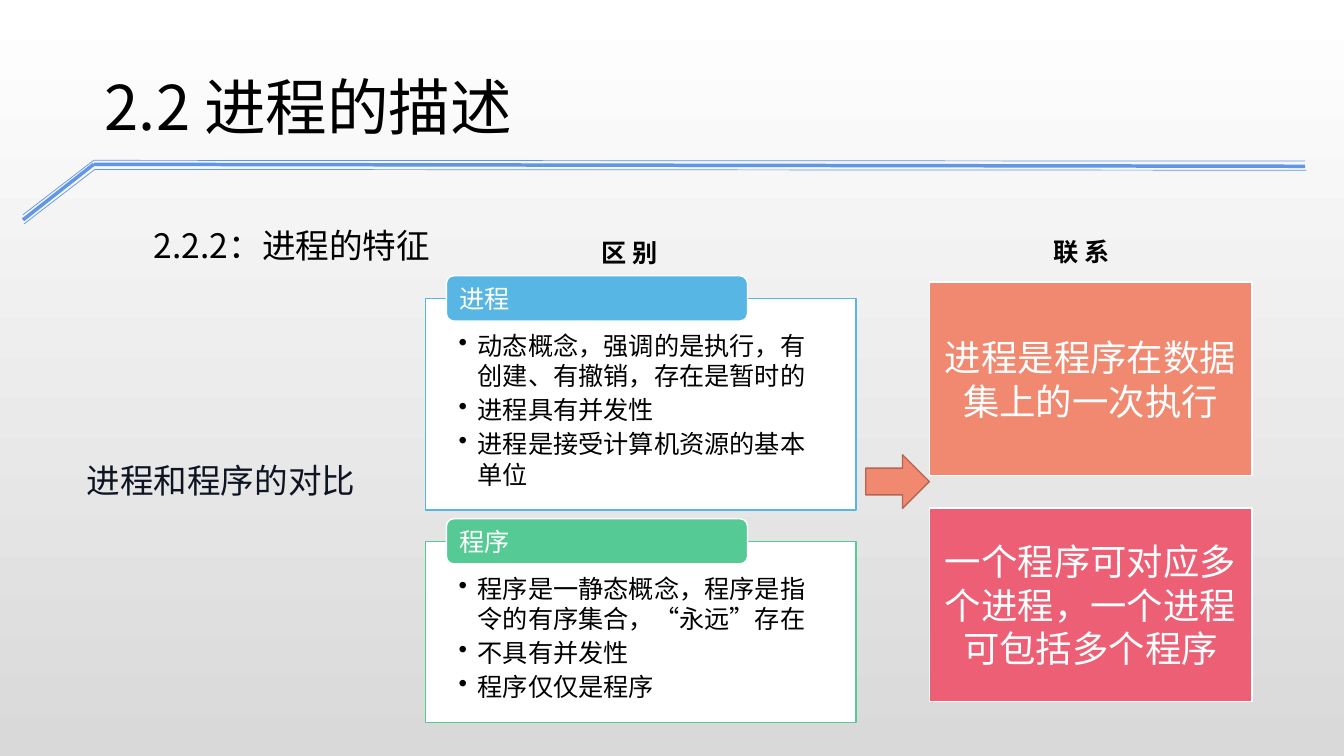
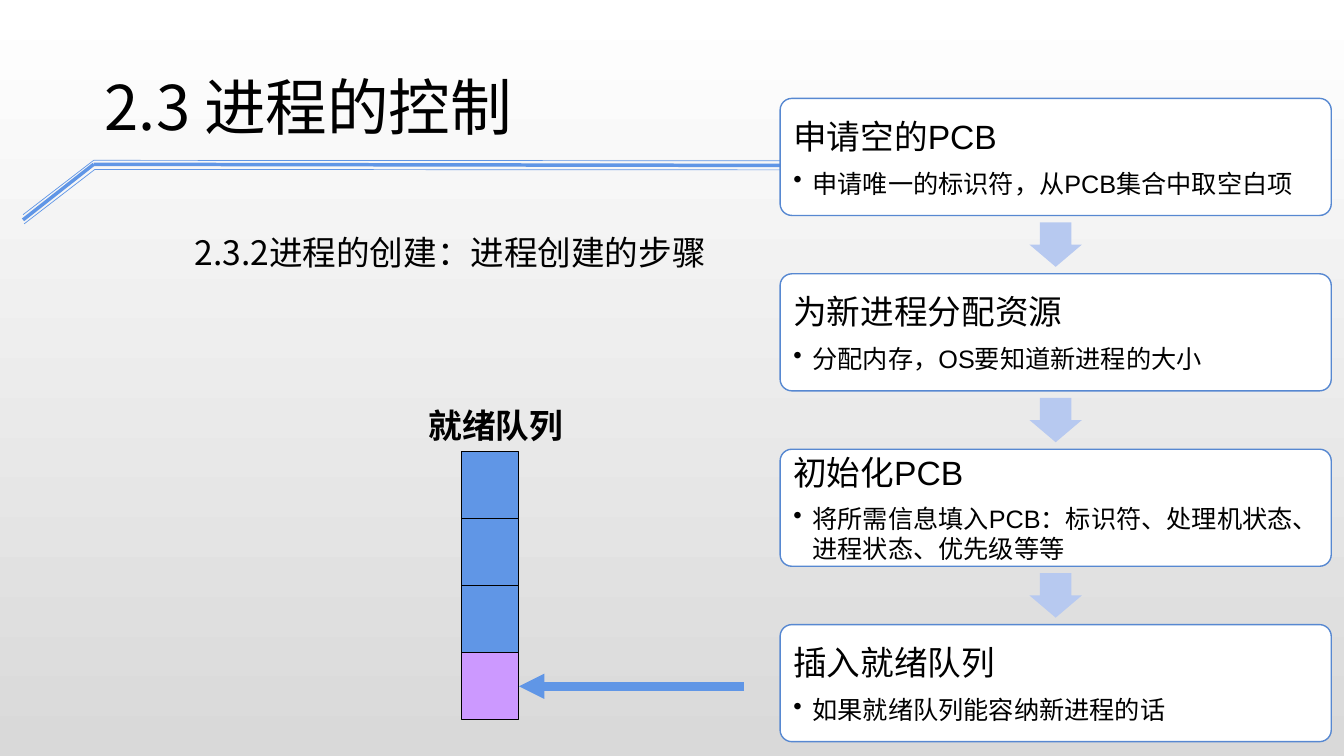
from lxml import etree
from pptx import Presentation
from pptx.dml.color import RGBColor
from pptx.enum import shapes as es, text as et
from pptx.oxml.ns import qn
from pptx.util import Cm, Pt

COLORS = {
    "white": "FFFFFF", "black": "000000", "gray": "D9D9D9", "ink": "0F1423",
    "blue": "6096E6", "sky": "58B6E5", "green": "56CA95", "orange": "F18870",
    "rust": "B26553", "pink": "EC5F74", "edge": "5788D1", "pale": "B7C9F0",
    "violet": "CC99FF",
}
HEAD_FONT, BODY_FONT = "Noto Sans CJK JP", "Arial"

BAND = [
    (0.5, [(0.58, 5.41), (2.36, 4.04), (32.89, 4.06)]),
    (2.5, [(0.58, 5.54), (2.36, 4.14), (32.89, 4.19)]),
    (0.5, [(0.61, 5.64), (2.39, 4.27), (32.92, 4.29)]),
]
DIFFERENCES = [
    ("进程", "sky", 7.52, 5.33, [
        "动态概念，强调的是执行，有创建、有撤销，存在是暂时的",
        "进程具有并发性",
        "进程是接受计算机资源的基本单位"]),
    ("程序", "green", 13.64, 4.57, [
        "程序是一静态概念，程序是指令的有序集合，“永远”存在",
        "不具有并发性",
        "程序仅仅是程序"]),
]
RELATIONS = [
    ("进程是程序在数据集上的一次执行", "orange"),
    ("一个程序可对应多个进程，一个进程可包括多个程序", "pink"),
]
HEADINGS = [("区 别", 14.91, 5.84), ("联 系", 26.29, 5.82)]
STEPS = [
    ("申请空的PCB", "申请唯一的标识符，从PCB集合中取空白项"),
    ("为新进程分配资源", "分配内存，OS要知道新进程的大小"),
    ("初始化PCB", "将所需信息填入PCB：标识符、处理机状态、进程状态、优先级等等"),
    ("插入就绪队列", "如果就绪队列能容纳新进程的话"),
]
QUEUE = ["blue", "blue", "blue", "violet"]


def rgb(name):
    return RGBColor.from_string(COLORS[name])


def para(text, size=18, color="black", bold=False, bullet=False, after=0):
    return dict(text=text, size=size, color=color, bold=bold, bullet=bullet, after=after)


def place(s, x, y, w, h):
    s.left, s.top, s.width, s.height = Cm(x), Cm(y), Cm(w), Cm(h)


def write(s, paras, font=BODY_FONT, align="LEFT", anchor="TOP",
          insets=(0.25, 0.13, 0.25, 0.13), wrap=True, spacing=None):
    tf = s.text_frame
    tf.word_wrap = wrap
    tf.auto_size = et.MSO_AUTO_SIZE.NONE
    tf.vertical_anchor = et.MSO_ANCHOR[anchor]
    tf.margin_left, tf.margin_top, tf.margin_right, tf.margin_bottom = map(Cm, insets)
    for i, item in enumerate(paras):
        p = tf.add_paragraph() if i else tf.paragraphs[0]
        p.text = item["text"]
        p.alignment = et.PP_ALIGN[align]
        p.space_before, p.space_after = Pt(0), Pt(item["after"])
        if spacing:
            p.line_spacing = spacing
        pPr = p._p.get_or_add_pPr()
        indent = Cm(0.48) if item["bullet"] else 0
        pPr.set("marL", str(indent))
        pPr.set("indent", str(-indent))
        if item["bullet"]:
            etree.SubElement(pPr, qn("a:buChar")).set("char", "•")
        else:
            etree.SubElement(pPr, qn("a:buNone"))
        for r in p.runs:
            r.font.size, r.font.bold = Pt(item["size"]), item["bold"]
            r.font.color.rgb = rgb(item["color"])
            r.font.name = font
            if font == HEAD_FONT:
                etree.SubElement(r._r.get_or_add_rPr(), qn("a:ea")).set("typeface", font)


def add_box(slide, kind, x, y, w, h, fill, line=None, width=1.0, adj=()):
    s = slide.shapes.add_shape(es.MSO_SHAPE[kind], Cm(x), Cm(y), Cm(w), Cm(h))
    s.shadow.inherit = False
    s.fill.solid()
    s.fill.fore_color.rgb = rgb(fill)
    if line:
        s.line.color.rgb = rgb(line)
        s.line.width = Pt(width)
    else:
        s.line.fill.background()
    for i, value in enumerate(adj):
        s.adjustments[i] = value
    return s


def add_label(slide, x, y, w, h, item, **style):
    s = slide.shapes.add_textbox(Cm(x), Cm(y), Cm(w), Cm(h))
    write(s, [item], **style)


def add_line(slide, start, end, width, arrow=False):
    c = slide.shapes.add_connector(es.MSO_CONNECTOR.STRAIGHT, *map(Cm, start + end))
    c.line.color.rgb = rgb("blue")
    c.line.width = Pt(width)
    if arrow:
        etree.SubElement(c.line._get_or_add_ln(), qn("a:tailEnd")).set("type", "triangle")
    etree.SubElement(c._element.spPr, qn("a:effectLst"))


def style_master(prs):
    fill = prs.slide_master.background.fill
    fill.gradient()
    fill.gradient_angle = 270
    for stop, position, color in zip(fill.gradient_stops, (0, 1), ("white", "gray")):
        stop.position = position
        stop.color.rgb = rgb(color)


def new_slide(prs, title, subtitle, x, y):
    slide = prs.slides.add_slide(prs.slide_layouts[1])
    for width, points in BAND:
        for start, end in zip(points, points[1:]):
            add_line(slide, start, end, width)
    place(slide.shapes.title, 2.39, 1.6, 24.18, 2.13)
    write(slide.shapes.title, [para(title, 44)], font=HEAD_FONT, anchor="MIDDLE")
    body = slide.placeholders[1]
    place(body, x, y, 29.08, 1.8)
    write(body, [para(subtitle, 24)], font=HEAD_FONT, spacing=1.5)
    return slide


def build_comparison(prs):
    slide = new_slide(prs, "2.2 进程的描述", "2.2.2：进程的特征", 3.63, 5.03)
    x = 10.72
    for name, color, y, h, points in DIFFERENCES:
        s = add_box(slide, "RECTANGLE", x, y, 10.85, h, "white", color)
        write(s, [para(t, bullet=True, after=2.7) for t in points],
              insets=(0.84, 0.81, 0.84, 0.36))
        s = add_box(slide, "ROUNDED_RECTANGLE", x + 0.53, y - 0.57, 7.59, 1.14, color, "white")
        write(s, [para(name, color="white")], anchor="MIDDLE", insets=(0.28, 0, 0.28, 0))
    for i, (text, color) in enumerate(RELATIONS):
        s = add_box(slide, "RECTANGLE", 23.42, 7.11 + i * 5.69, 8.13, 4.88, color, "white")
        write(s, [para(text, 26, "white")], align="CENTER", anchor="MIDDLE", insets=(0.28,) * 4)
    add_box(slide, "RIGHT_ARROW", 21.82, 11.46, 1.6, 1.35, "orange", "rust")
    add_label(slide, 1.93, 11.46, 7.29, 1.27, para("进程和程序的对比", 24, "ink"),
              font=HEAD_FONT, wrap=False)
    for text, x, y in HEADINGS:
        add_label(slide, x, y, 2.44, 1.02, para(text, bold=True))


def build_creation(prs):
    slide = new_slide(prs, "2.3 进程的控制", "2.3.2进程的创建：进程创建的步骤", 4.65, 5.21)
    x, top, w, h, pitch = 19.66, 2.48, 13.89, 2.95, 4.42
    arrow_w, arrow_h = 1.32, 1.12
    for i, (name, detail) in enumerate(STEPS):
        y = top + i * pitch
        s = add_box(slide, "ROUNDED_RECTANGLE", x, y, w, h, "white", "edge", adj=(0.1,))
        write(s, [para(name, 24, after=8.4), para(detail, bullet=True, after=2.7)],
              anchor="MIDDLE", insets=(0.25,) * 4)
        if i < len(STEPS) - 1:
            add_box(slide, "DOWN_ARROW", x + (w - arrow_w) / 2, y + (h + pitch - arrow_h) / 2,
                    arrow_w, arrow_h, "pale", adj=(0.6, 0.5))
    x, top, w, h = 11.63, 11.38, 1.45, 1.69
    for i, color in enumerate(QUEUE):
        add_box(slide, "RECTANGLE", x, top + i * h, w, h, color, "black", 0.75)
    y = top + (len(QUEUE) - 0.5) * h
    add_line(slide, (18.75, y), (x + w, y), 6, arrow=True)
    add_label(slide, 10.95, 9.98, 3.1, 1.47, para("就绪队列", 24, bold=True),
              align="CENTER", anchor="MIDDLE", wrap=False)


def main():
    prs = Presentation()
    prs.slide_width, prs.slide_height = Cm(33.87), Cm(19.05)
    style_master(prs)
    build_comparison(prs)
    build_creation(prs)
    prs.save("out.pptx")


if __name__ == "__main__":
    main()
